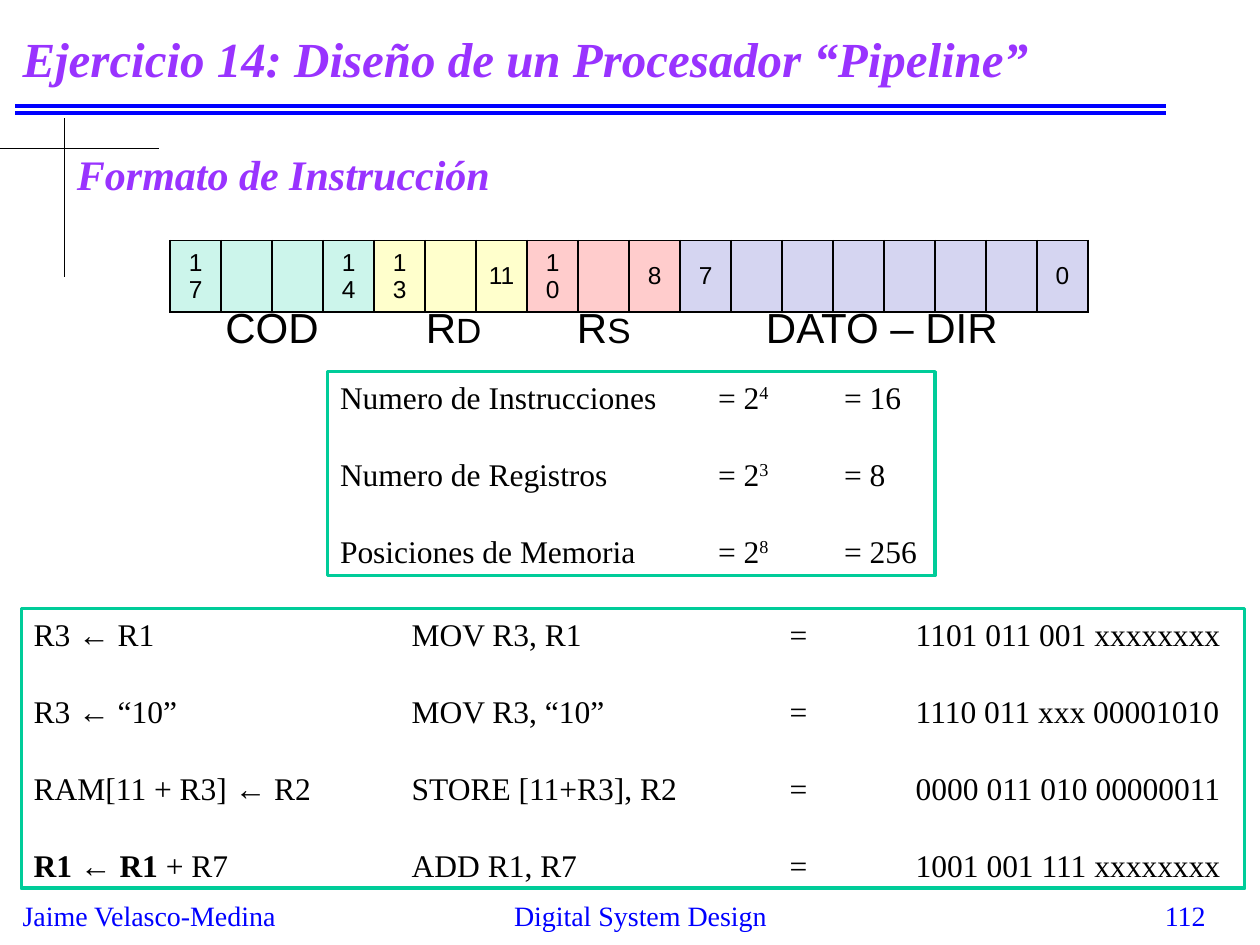
"""Build the slide on the instruction format of a pipelined processor."""
from lxml import etree
from pptx import Presentation
from pptx import util as u
from pptx.dml.color import RGBColor
from pptx.enum import shapes, text
from pptx.oxml import ns

Pt = u.Pt
BLACK = RGBColor(0x00, 0x00, 0x00)
WHITE = RGBColor(0xFF, 0xFF, 0xFF)
BLUE = RGBColor(0x00, 0x00, 0xFF)
PURPLE = RGBColor(0x99, 0x33, 0xFF)
GREEN = RGBColor(0x00, 0xCC, 0x99)
MINT = RGBColor(0xCC, 0xF5, 0xEB)
YELLOW = RGBColor(0xFF, 0xFF, 0xCC)
PINK = RGBColor(0xFF, 0xCC, 0xCC)
LILAC = RGBColor(0xD5, 0xD5, 0xF1)
SERIF, SANS = "Times New Roman", "Arial"
LEFT, CENTER, RIGHT = text.PP_ALIGN.LEFT, text.PP_ALIGN.CENTER, text.PP_ALIGN.RIGHT
TOP, MIDDLE = text.MSO_ANCHOR.TOP, text.MSO_ANCHOR.MIDDLE
SUP, BOLD = {"sup": True}, {"bold": True}

RULES = [
    (8.6, 60.5, 666, 60.5, BLUE, 2.25),
    (8.6, 64.8, 666, 64.8, BLUE, 2.25),
    (0, 85, 90.7, 85, BLACK, 0.75),
    (36.9, 67.7, 36.9, 158.4, BLACK, 0.75),
]
HEADINGS = [
    ("Ejercicio 14: Diseño de un Procesador “Pipeline”", 5.8, 5.8, 28),
    ("Formato de Instrucción", 36.9, 72, 24),
]
FOOTERS = [
    ("Jaime Velasco-Medina", 5.8, 162, LEFT),
    ("Digital System Design", 240, 252, CENTER),
    ("112", 546, 150, RIGHT),
]
FIELDS = [(17, 14, MINT), (13, 11, YELLOW), (10, 8, PINK), (7, 0, LILAC)]
LABELS = [
    ([("COD", {})], 121.7, 68.4),
    ([("R", {}), ("D", {"size": 20})], 236.2, 46.8),
    ([("R", {}), ("S", {"size": 20})], 322.6, 46.8),
    ([("DATO – DIR", {})], 430.6, 148.3),
]
CAPACITY = [
    [("Numero de Instrucciones\t= 2", {}), ("4", SUP), ("\t= 16", {})],
    [("Numero de Registros\t= 2", {}), ("3", SUP), ("\t= 8", {})],
    [("Posiciones de Memoria\t= 2", {}), ("8", SUP), ("\t= 256", {})],
]
PROGRAM = [
    [("R3 ← R1\tMOV R3, R1\t=\t1101 011 001 xxxxxxxx", {})],
    [("R3 ← “10”\tMOV R3, “10”\t=\t1110 011 xxx 00001010", {})],
    [("RAM[11 + R3] ← R2\tSTORE [11+R3], R2\t=\t0000 011 010 00000011", {})],
    [("R1 ", BOLD), ("← ", {}), ("R1", BOLD),
     (" + R7\tADD R1, R7\t=\t1001 001 111 xxxxxxxx", {})],
]
PANELS = [
    (CAPACITY, (187.2, 212.4, 347, 116.6), (216, 288)),
    (PROGRAM, (12.2, 347.8, 699.1, 159.8), (216, 432, 504)),
]


def write(tf, paras, size=18, font=SERIF, color=BLACK, bold=False, italic=False,
          align=LEFT, anchor=TOP, wrap=True, gap=0, tabs=()):
    """Fill a text frame with paragraphs, each a list of (text, overrides) runs."""
    tf.word_wrap = wrap
    tf.vertical_anchor = anchor
    for i, runs in enumerate(paras):
        p = tf.add_paragraph() if i else tf.paragraphs[0]
        if tabs:
            stops = etree.SubElement(p._p.get_or_add_pPr(), ns.qn("a:tabLst"))
            for pos in tabs:
                etree.SubElement(stops, ns.qn("a:tab"), pos=str(int(Pt(pos))), algn="l")
        p.alignment = align
        p.space_before = Pt(gap if i else 0)
        p.font.size = Pt(size)
        for content, extra in runs:
            r = p.add_run()
            r.text = content
            r.font.name = font
            r.font.size = Pt(extra.get("size", size))
            r.font.bold = extra.get("bold", bold)
            r.font.italic = italic
            r.font.color.rgb = color
            if extra.get("sup"):
                r._r.get_or_add_rPr().set("baseline", "30000")


def add_text(s, paras, box, **fmt):
    """Add a text box at the given left, top, width and height."""
    write(s.shapes.add_textbox(*map(Pt, box)).text_frame, paras, **fmt)


def add_rule(s, x1, y1, x2, y2, color, width):
    """Add a straight line without shadow."""
    line = s.shapes.add_connector(shapes.MSO_CONNECTOR.STRAIGHT, *map(Pt, (x1, y1, x2, y2)))
    line.line.color.rgb = color
    line.line.width = Pt(width)
    etree.SubElement(line._element.spPr, ns.qn("a:effectLst"))


def add_panel(s, paras, box, tabs):
    """Add a green-framed box of tabbed lines."""
    sp = s.shapes.add_shape(shapes.MSO_SHAPE.RECTANGLE, *map(Pt, box))
    sp.shadow.inherit = False
    sp.fill.solid()
    sp.fill.fore_color.rgb = WHITE
    sp.line.color.rgb = GREEN
    sp.line.width = Pt(2)
    write(sp.text_frame, paras, gap=22.4, tabs=tabs)


def add_border(cell):
    """Outline a table cell in black."""
    tcPr = cell._tc.get_or_add_tcPr()
    for i, side in enumerate(("lnL", "lnR", "lnT", "lnB")):
        ln = etree.Element(ns.qn("a:" + side), w=str(int(Pt(1))))
        fill = etree.SubElement(ln, ns.qn("a:solidFill"))
        etree.SubElement(fill, ns.qn("a:srgbClr"), val=str(BLACK))
        tcPr.insert(i, ln)


def add_word(s, left, top, width, height):
    """Add the instruction word as one row of bit cells."""
    bits = [(str(bit) if bit in (high, low) else "", color)
            for high, low, color in FIELDS for bit in range(high, low - 1, -1)]
    table = s.shapes.add_table(1, len(bits), *map(Pt, (left, top, width, height))).table
    table.first_row = table.horz_banding = False
    for i, (label, color) in enumerate(bits):
        table.columns[i].width = Pt(width / len(bits))
        cell = table.cell(0, i)
        cell.fill.solid()
        cell.fill.fore_color.rgb = color
        cell.vertical_anchor = MIDDLE
        write(cell.text_frame, [[(label, {})] if label else []],
              size=14, font=SANS, align=CENTER)
        add_border(cell)


def main():
    """Assemble and save the slide."""
    prs = Presentation()
    prs.slide_width, prs.slide_height = Pt(720), Pt(540)
    s = prs.slides.add_slide(prs.slide_layouts[6])
    for rule in RULES:
        add_rule(s, *rule)
    for content, left, width, align in FOOTERS:
        add_text(s, [[(content, {})]], (left, 509.8, width, 26),
                 size=16, color=BLUE, align=align)
    for content, left, top, size in HEADINGS:
        add_text(s, [[(content, {})]], (left, top, 660, 54), size=size,
                 color=PURPLE, bold=True, italic=True, anchor=MIDDLE)
    add_word(s, 97.2, 137.5, 524.9, 29.5)
    for runs, left, width in LABELS:
        add_text(s, [runs], (left, 168.5, width, 36), size=24, font=SANS, wrap=False)
    for panel in PANELS:
        add_panel(s, *panel)
    prs.save("out.pptx")


if __name__ == "__main__":
    main()
